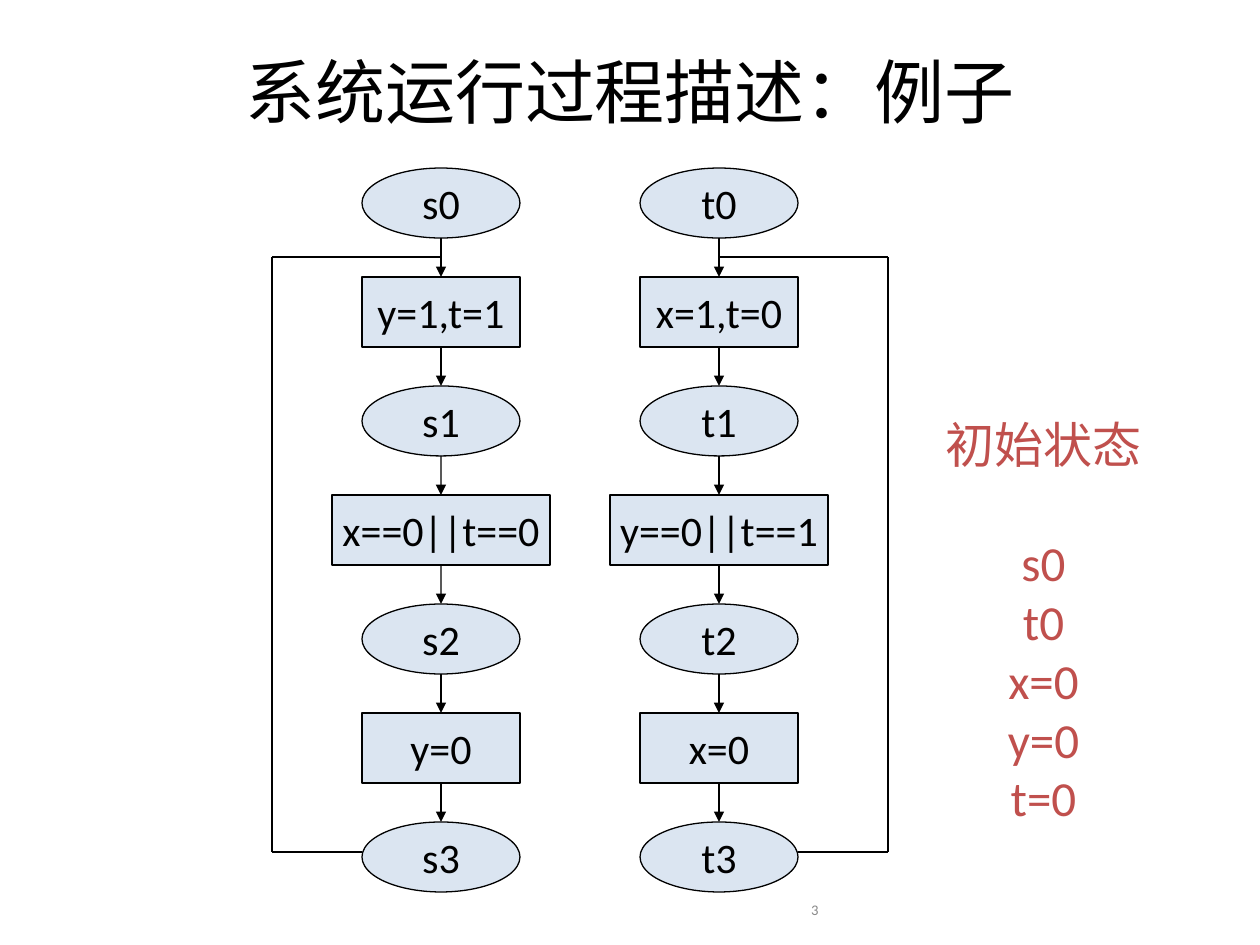
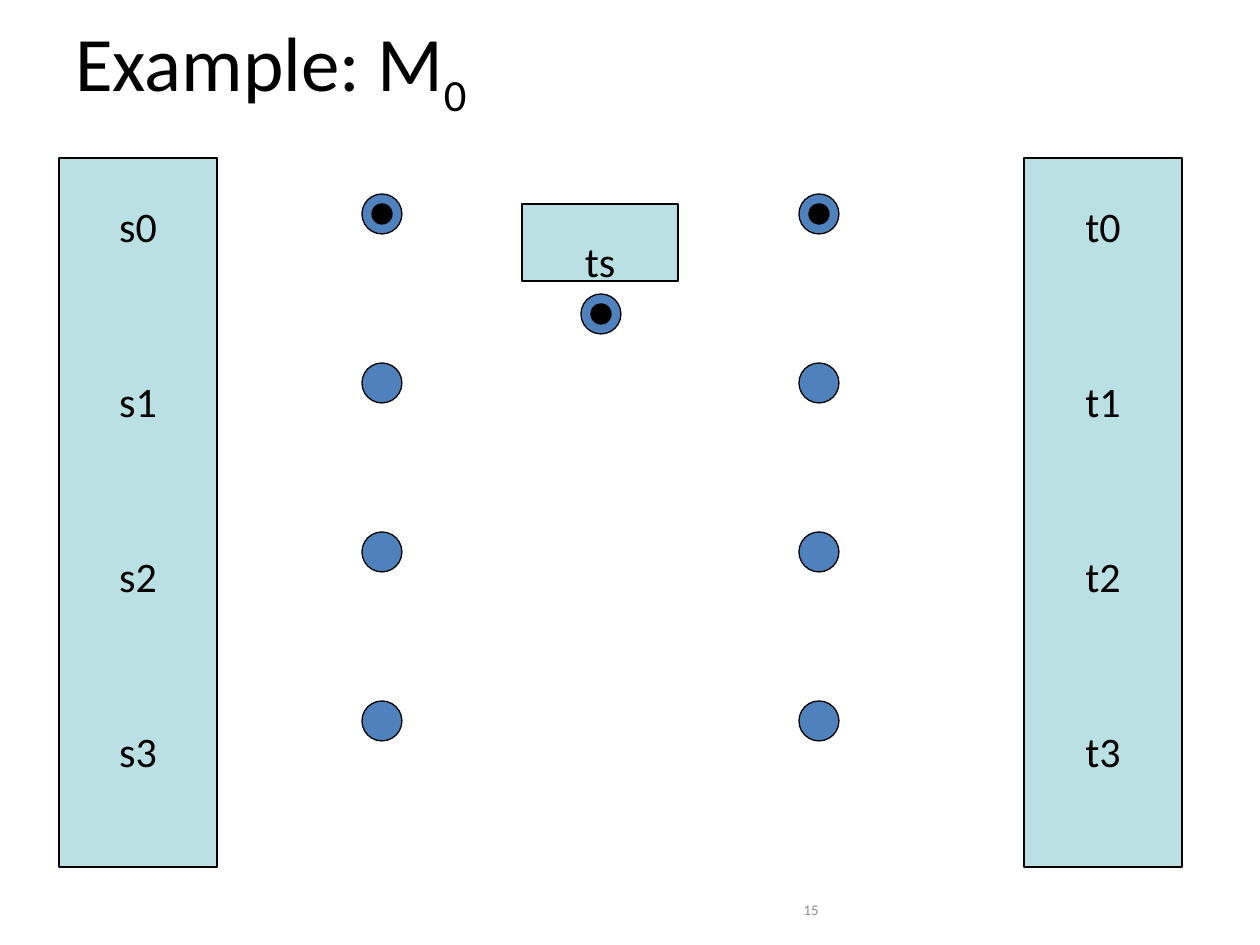
import pptx
import pptx.util
import pptx.dml.color
import pptx.enum.shapes
import pptx.enum.text
import pptx.oxml
import pptx.oxml.ns
from lxml import etree

FONT = "Calibri"
BLACK, BLUE, PALE, RED, GREY = "000000", "4F81BD", "BBE0E3", "C0504D", "898989"
RECT = pptx.enum.shapes.MSO_SHAPE.RECTANGLE
OVAL = pptx.enum.shapes.MSO_SHAPE.OVAL
ALIGN = pptx.enum.text.PP_ALIGN
ANCHOR = pptx.enum.text.MSO_ANCHOR
qn = pptx.oxml.ns.qn

NODE_W, GUARD_W, NODE_H = 158, 218, 70
FLOW_TOP, FLOW_STEP = 168, 109
LOOP_TOP, LOOP_BOTTOM = 257, 852
PLACE, TOKEN = 40, 20


def px(n):
    return round(n * 914400 / 126)


def color(code):
    return pptx.dml.color.RGBColor.from_string(code)


def write(tf, lines, size, code=BLACK, align=ALIGN.CENTER, leading=None):
    for i, line in enumerate(lines):
        p = tf.paragraphs[0] if i == 0 else tf.add_paragraph()
        p.text = line
        p.alignment = align
        if leading:
            p.line_spacing = pptx.util.Pt(leading)
        p.font.name = FONT
        p.font.size = pptx.util.Pt(size)
        p.font.color.rgb = color(code)


def add_text(slide, x, y, w, h, lines, size, code=BLACK, align=ALIGN.CENTER):
    tf = slide.shapes.add_textbox(px(x), px(y), px(w), px(h)).text_frame
    tf.word_wrap = True
    tf.vertical_anchor = ANCHOR.MIDDLE
    write(tf, lines, size, code, align)
    return tf


def add_title(slide, text, h, size, align):
    return add_text(slide, 63, 11, 1134, h, [text], size, align=align)


def add_page_number(slide, number):
    tf = add_text(slide, 431, 876, 400, 50, [number], 8.4, GREY, ALIGN.RIGHT)
    tf.vertical_anchor = ANCHOR.BOTTOM
    tf.margin_bottom = px(8)


def add_box(slide, kind, x, y, w, h, fill, lines=(), leading=None):
    sp = slide.shapes.add_shape(kind, px(x), px(y), px(w), px(h))
    sp.shadow.inherit = False
    sp.fill.solid()
    sp.fill.fore_color.rgb = color(fill)
    sp.line.color.rgb = color(BLACK)
    sp.line.width = pptx.util.Pt(0.75)
    sp.text_frame.word_wrap = False
    sp.text_frame.vertical_anchor = ANCHOR.MIDDLE
    write(sp.text_frame, lines, 24, leading=leading)
    return sp


def add_line(slide, x1, y1, x2, y2, arrow=False):
    cx = slide.shapes.add_connector(
        pptx.enum.shapes.MSO_CONNECTOR.STRAIGHT, px(x1), px(y1), px(x2), px(y2))
    cx.line.color.rgb = color(BLACK)
    cx.line.width = pptx.util.Pt(0.75)
    if arrow:
        etree.SubElement(cx.line._get_or_add_ln(), qn("a:tailEnd"), type="triangle")
    etree.SubElement(cx._element.spPr, qn("a:effectLst"))
    return cx


def add_node(slide, center, i, text):
    kind = RECT if i % 2 else OVAL
    w = GUARD_W if "||" in text else NODE_W
    sp = add_box(slide, kind, center - w // 2, FLOW_TOP + i * FLOW_STEP,
                 w, NODE_H, BLUE, [text])
    rgb = sp._element.spPr.find(qn("a:solidFill"))[0]
    etree.SubElement(rgb, qn("a:alpha"), val="20000")
    return sp


def add_flow(slide, center, loop_x, texts):
    nodes = [add_node(slide, center, i, text) for i, text in enumerate(texts)]
    for i in range(len(nodes) - 1):
        y = FLOW_TOP + i * FLOW_STEP
        cx = add_line(slide, center, y + NODE_H, center, y + FLOW_STEP, True)
        if i % 2:
            cx.begin_connect(nodes[i], 2)
        else:
            cx.end_connect(nodes[i + 1], 0)
    side = NODE_W // 2 if loop_x > center else -NODE_W // 2
    corners = [(center + side, LOOP_BOTTOM), (loop_x, LOOP_BOTTOM),
               (loop_x, LOOP_TOP), (center, LOOP_TOP)]
    for start, end in zip(corners, corners[1:]):
        add_line(slide, *start, *end)


def add_place(slide, x, y, marked=False):
    add_box(slide, OVAL, x, y, PLACE, PLACE, BLUE)
    if marked:
        inset = (PLACE - TOKEN) // 2
        add_box(slide, OVAL, x + inset, y + inset, TOKEN, TOKEN, BLACK)


def add_state_panel(slide, x, states):
    tf = add_box(slide, RECT, x, 158, 158, 709, PALE, states, 50).text_frame
    tf.vertical_anchor = ANCHOR.TOP
    tf.margin_top = px(5)
    for p in tf.paragraphs[1:]:
        p.space_before = pptx.util.Pt(50)


def build_flowcharts(slide):
    add_title(slide, "系统运行过程描述：例子", 158, 40, ALIGN.CENTER)
    add_flow(slide, 441, 272,
             ["s0", "y=1,t=1", "s1", "x==0||t==0", "s2", "y=0", "s3"])
    add_flow(slide, 719, 888,
             ["t0", "x=1,t=0", "t1", "y==0||t==1", "t2", "x=0", "t3"])
    tf = add_text(slide, 925, 384, 237, 473,
                  ["初始状态", "s0", "t0", "x=0", "y=0", "t=0"], 28, RED)
    tf.paragraphs[1].space_before = pptx.util.Pt(34)
    add_page_number(slide, "3")


def build_marking(slide):
    tf = add_title(slide, "Example: M", 113, 44, ALIGN.LEFT)
    r = tf.paragraphs[0].add_run()
    r.text = "0"
    r._r.get_or_add_rPr().set("baseline", "-25000")
    for x, panel_x, name in ((362, 59, "s"), (799, 1024, "t")):
        for i in range(4):
            add_place(slide, x, 194 + i * 169, i == 0)
        add_state_panel(slide, panel_x, [f"{name}{i}" for i in range(4)])
    add_place(slide, 581, 294, True)
    add_box(slide, RECT, 522, 204, 156, 77, PALE, ["ts"], 50)
    add_page_number(slide, "15")


def main():
    prs = pptx.Presentation()
    prs.slide_width, prs.slide_height = px(1260), px(945)
    for build in (build_flowcharts, build_marking):
        build(prs.slides.add_slide(prs.slide_layouts[6]))
    prs.save("out.pptx")


if __name__ == "__main__":
    main()
